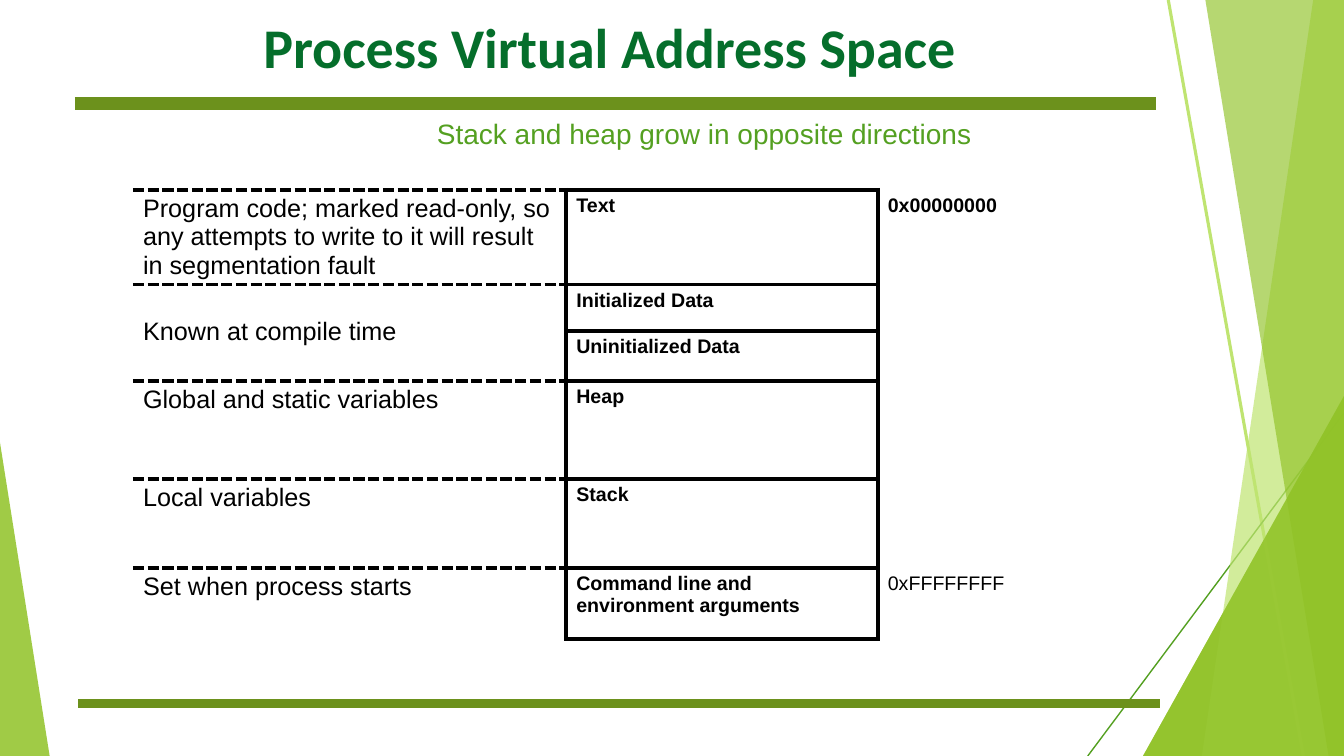
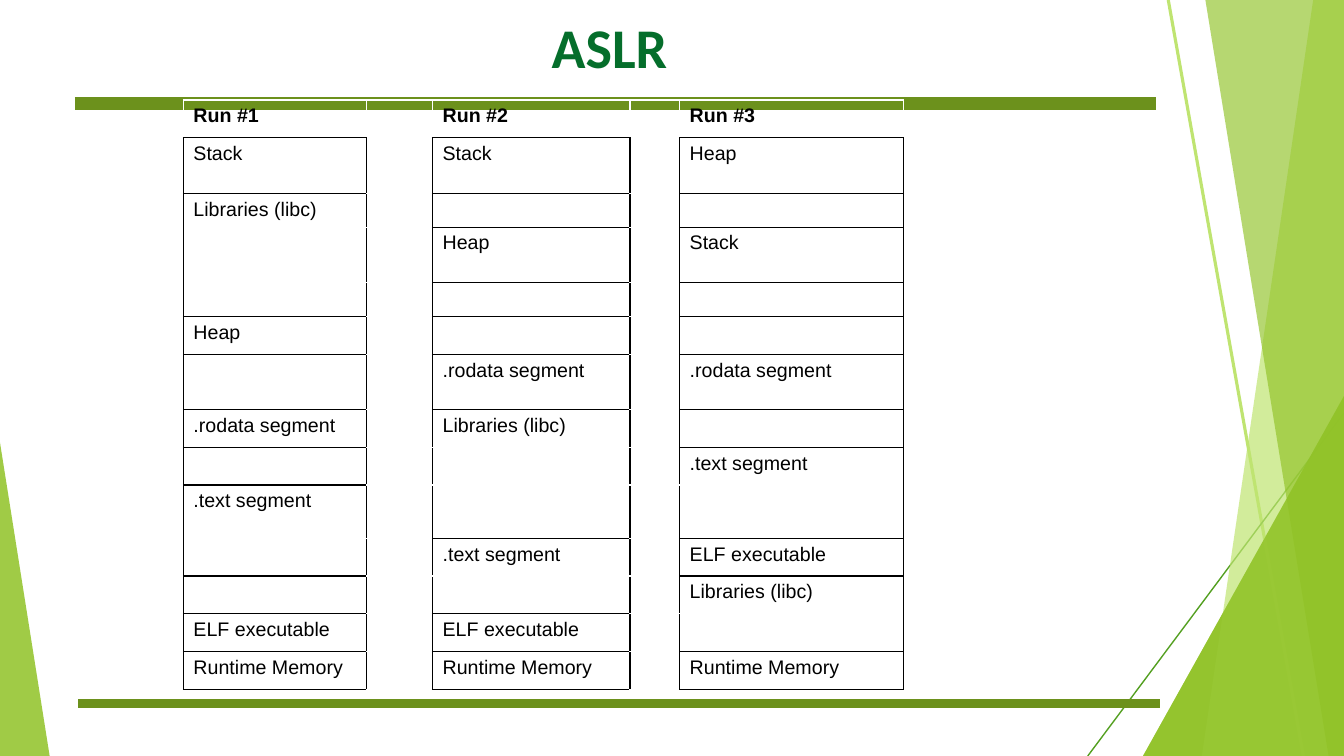
from lxml.etree import SubElement
from pptx import Presentation
from pptx.dml.color import RGBColor
from pptx.enum.shapes import MSO_CONNECTOR as Connector, MSO_SHAPE as Shape
from pptx.enum.text import MSO_ANCHOR as Anchor, PP_ALIGN as Align
from pptx.oxml.ns import qn
from pptx.util import Pt

# Shared look, lengths in points
WIDTH, HEIGHT = 960, 540
LEAF = RGBColor(0x90, 0xC2, 0x26)
LIME = RGBColor(0xBF, 0xE4, 0x71)
GREEN = RGBColor(0x54, 0xA0, 0x21)
OLIVE = RGBColor(0x6C, 0x91, 0x1C)
TITLE_GREEN = RGBColor(0x05, 0x6E, 0x2B)
BLACK = RGBColor(0, 0, 0)
WHITE = RGBColor(0xFF, 0xFF, 0xFF)
UP = None  # a cell that belongs to the cell above it

# Slide 1: one row per memory region
SPACE_WIDTHS = [309.5, 222.5, 111.5]
SPACE_HEIGHTS = [67, 33, 36, 70, 63.5, 51]
SPACE_ROWS = [
    ["Program code; marked read-only, so any attempts to write to it "
     "will result in segmentation fault", "Text", "0x00000000"],
    ["Known at compile time", "Initialized Data", ""],
    [UP, "Uninitialized Data", ""],
    ["Global and static variables", "Heap", ""],
    ["Local variables", "Stack", ""],
    ["Set when process starts", "Command line and environment arguments",
     "0xFFFFFFFF"],
]

# Slide 2: one list per program run, with empty columns between
RUN_WIDTHS = [131, 47, 141, 35.5, 160]
RUN_HEIGHTS = [27, 39.5, 23.5, 39.5, 23.5, 27, 39.5, 27, 27, 38, 27, 27, 27, 27]
GAP = [""] * len(RUN_HEIGHTS)
RUN_COLUMNS = [
    ["Run #1", "Stack", "Libraries (libc)", UP, UP, "Heap", "",
     ".rodata segment", "", ".text segment", UP, "", "ELF executable",
     "Runtime Memory"],
    GAP,
    ["Run #2", "Stack", "", "Heap", "", "", ".rodata segment",
     "Libraries (libc)", UP, UP, ".text segment", UP, "ELF executable",
     "Runtime Memory"],
    GAP,
    ["Run #3", "Heap", "", "Stack", "", "", ".rodata segment", "",
     ".text segment", UP, "ELF executable", "Libraries (libc)", UP,
     "Runtime Memory"],
]


def write(frame, text, size=14, color=BLACK, bold=False, font="Arial",
          align=Align.LEFT):
    """Put one formatted paragraph into a text frame."""
    frame.word_wrap = True
    para = frame.paragraphs[0]
    para.alignment = align
    if not text:
        # An empty cell still needs its size, or its row grows
        SubElement(para._p, qn("a:endParaRPr"), sz=str(size * 100))
        return
    span = para.add_run()
    span.text = text
    span.font.name = font
    span.font.size = Pt(size)
    span.font.bold = bold
    span.font.color.rgb = color


# Background
def paint(shape, color, opacity):
    shape.shadow.inherit = False
    shape.fill.solid()
    shape.fill.fore_color.rgb = color
    shape.line.fill.background()
    tint = shape.element.find(".//" + qn("a:srgbClr"))
    SubElement(tint, qn("a:alpha"), val=str(opacity * 1000))


def add_triangle(page, left, top, apex, opacity):
    width = WIDTH - left if apex else 35.5
    shape = page.shapes.add_shape(Shape.ISOSCELES_TRIANGLE, Pt(left), Pt(top),
                                  Pt(width), Pt(HEIGHT - top))
    shape.adjustments[0] = apex
    paint(shape, LEAF, opacity)


def add_line(page, start, end, color, width):
    line = page.shapes.add_connector(Connector.STRAIGHT,
                                     *map(Pt, start + end))
    line.line.color.rgb = color
    line.line.width = Pt(width)
    SubElement(line.element.spPr, qn("a:effectLst"))


def add_blade(page, top_left, bottom_left, color, opacity):
    """Fill from a slanted edge to the right side of the slide."""
    builder = page.shapes.build_freeform(Pt(top_left), 0)
    corners = [(WIDTH, 0), (WIDTH, HEIGHT), (bottom_left, HEIGHT)]
    builder.add_line_segments([(Pt(x), Pt(y)) for x, y in corners])
    paint(builder.convert_to_shape(), color, opacity)


def add_background(page):
    add_triangle(page, 816.5, 283, 1, 80)
    add_triangle(page, 0, 316, 0, 85)
    add_line(page, (834.5, 0), (931, HEIGHT), LIME, 2.25)
    add_line(page, (WIDTH, 295), (777, HEIGHT), GREEN, 1)
    add_blade(page, 938, 858.5, LIME, 70)
    add_blade(page, 861, 949, LEAF, 65)
    add_triangle(page, 816.5, 283, 1, 80)
    add_line(page, (53.5, 74), (826, 74), OLIVE, 8.75)
    add_line(page, (56, 502.5), (828.5, 502.5), OLIVE, 6)


def add_page(deck, title):
    page = deck.slides.add_slide(deck.slide_layouts[5])
    add_background(page)
    box = page.shapes.title
    box.left, box.top, box.width, box.height = map(Pt, (53.5, 2, 772.5, 73))
    frame = box.text_frame
    frame.vertical_anchor = Anchor.TOP
    frame.margin_left = frame.margin_top = frame.margin_bottom = Pt(7.2)
    frame.margin_right = Pt(16)
    write(frame, title, size=40, color=TITLE_GREEN, bold=True,
          font="Calibri", align=Align.CENTER)
    return page


# Tables
def set_borders(cell, edges):
    """edges maps a side (L, R, T, B) to colour, width and dash."""
    properties = cell._tc.get_or_add_tcPr()
    for side in "LRTB":
        line = SubElement(properties, qn("a:ln" + side))
        if side not in edges:
            SubElement(line, qn("a:noFill"))
            continue
        color, width, dash = edges[side]
        line.set("w", str(Pt(width)))
        fill = SubElement(line, qn("a:solidFill"))
        SubElement(fill, qn("a:srgbClr"), val=str(color))
        SubElement(line, qn("a:prstDash"), val=dash)


def add_grid(page, left, top, widths, heights, rows, text_format, borders):
    """Draw a table; two functions of row and column give its look."""
    table = page.shapes.add_table(
        len(heights), len(widths), Pt(left), Pt(top),
        Pt(sum(widths)), Pt(sum(heights))).table
    table.first_row = table.horz_banding = False
    for column, width in zip(table.columns, widths):
        column.width = Pt(width)
    for band, height in zip(table.rows, heights):
        band.height = Pt(height)
    for r, row in enumerate(rows):
        for c, text in enumerate(row):
            cell = table.cell(r, c)
            write(cell.text_frame, text, **text_format(r, c))
            set_borders(cell, borders(r, c))
            cell.fill.background()
    # Join each cell with the open cells below it
    for c in range(len(widths)):
        start = 0
        for r in range(1, len(rows) + 1):
            if r < len(rows) and rows[r][c] is UP:
                continue
            if r - start > 1:
                table.cell(start, c).merge(table.cell(r - 1, c))
            start = r
    return table


def space_format(row, column):
    if column == 0:
        return {"size": 18}
    return {"bold": column == 1 or row == 0}


def space_borders(row, column):
    solid, dashed = (BLACK, 3, "solid"), (BLACK, 3, "sysDash")
    if column == 1:
        return dict.fromkeys("LRTB", solid)
    if column == 2:
        return {"L": solid}
    edges = {"T": dashed, "R": solid, "B": dashed}
    if row == len(SPACE_ROWS) - 1:
        del edges["B"]
    return edges


def run_format(row, column):
    return {"bold": row == 0}


def run_borders(row, column):
    black, white = (BLACK, 1, "solid"), (WHITE, 1, "solid")
    is_gap = column % 2 == 1
    sides = white if row == 0 else black
    top = white if row == 0 or is_gap else black
    return {"L": sides, "R": sides, "T": top,
            "B": white if is_gap else black}


# Slides
def add_address_space(deck):
    page = add_page(deck, "Process Virtual Address Space")
    table = add_grid(page, 95, 135.5, SPACE_WIDTHS, SPACE_HEIGHTS, SPACE_ROWS,
                     space_format, space_borders)
    table.cell(1, 0).margin_top = Pt(24)
    box = page.shapes.add_textbox(Pt(305), Pt(80), Pt(426), Pt(32))
    write(box.text_frame, "Stack and heap grow in opposite directions",
          size=20, color=GREEN)


def add_aslr(deck):
    page = add_page(deck, "ASLR")
    add_grid(page, 131, 71.5, RUN_WIDTHS, RUN_HEIGHTS,
             list(zip(*RUN_COLUMNS)), run_format, run_borders)


def main():
    deck = Presentation()
    deck.slide_width, deck.slide_height = Pt(WIDTH), Pt(HEIGHT)
    add_address_space(deck)
    add_aslr(deck)
    deck.save("out.pptx")


if __name__ == "__main__":
    main()
